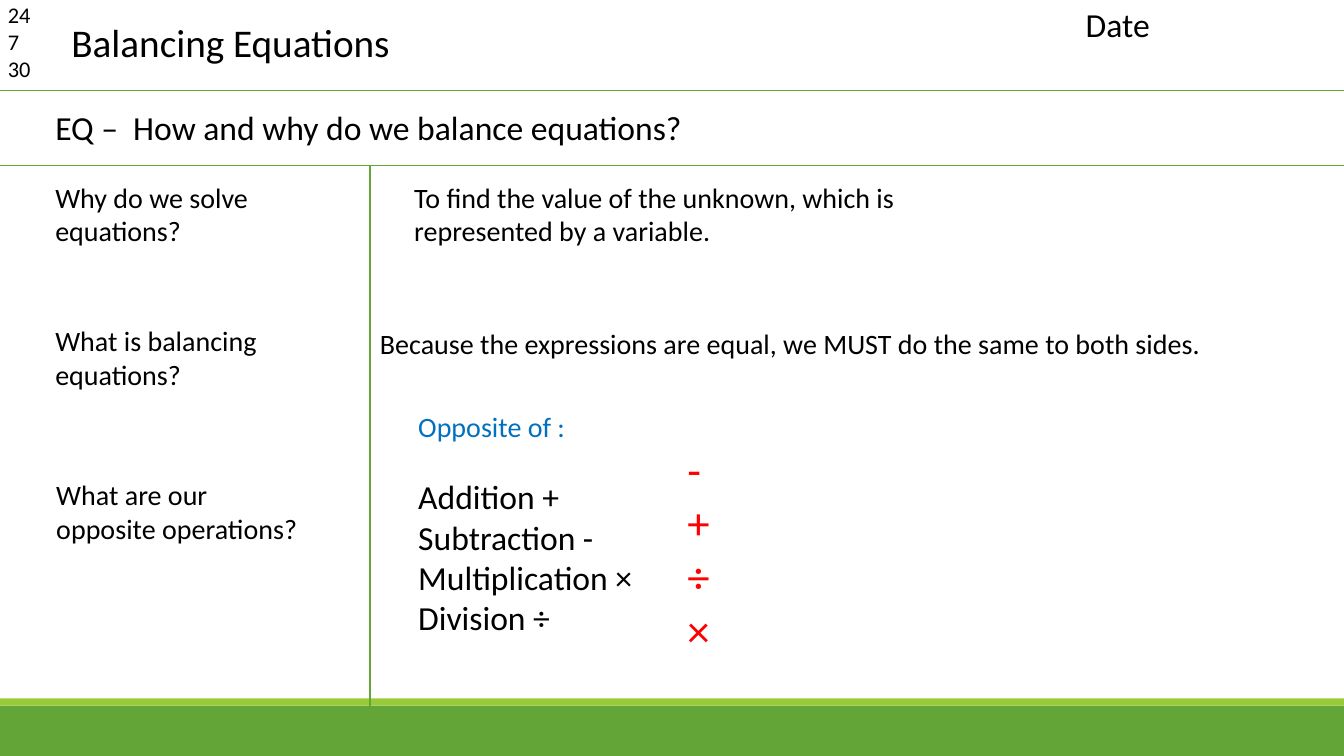
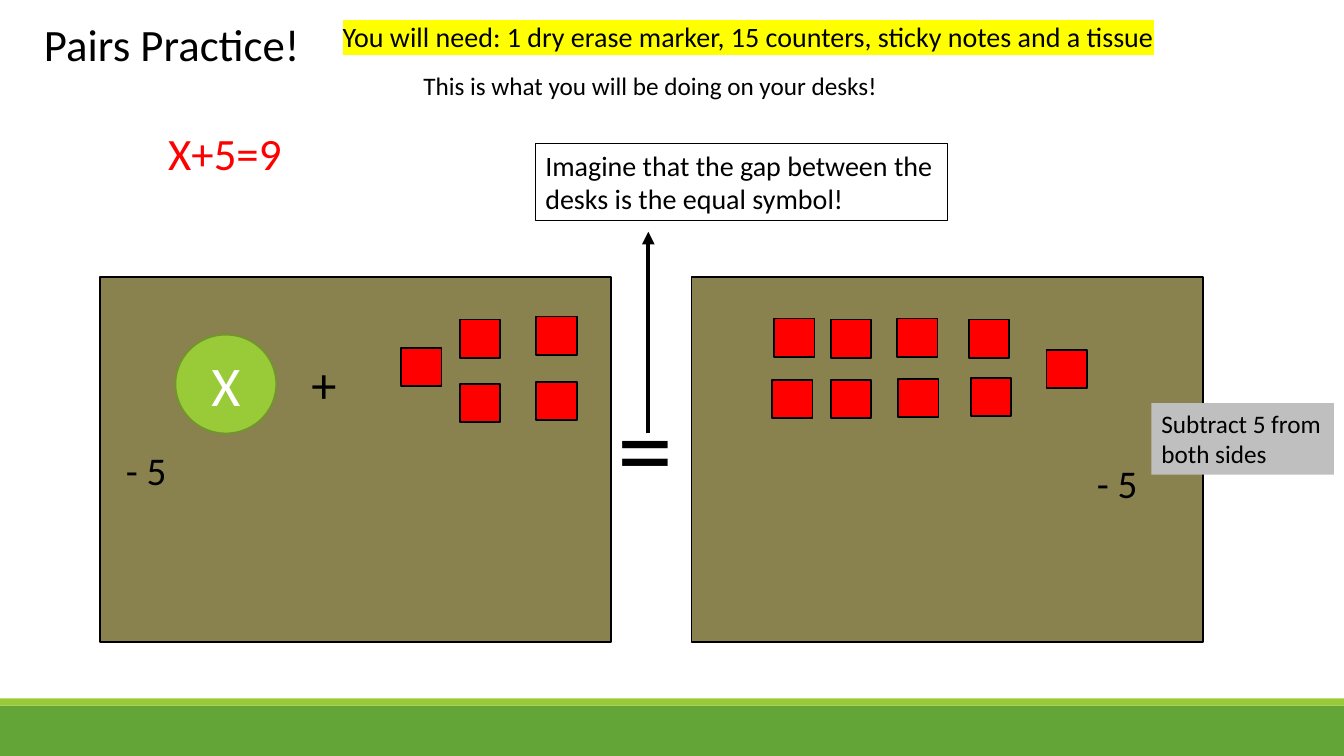
"""Build two lesson slides about balancing equations."""
from lxml.etree import SubElement
from pptx import Presentation
from pptx.dml.color import RGBColor
from pptx.enum.shapes import MSO_CONNECTOR, MSO_SHAPE
from pptx.enum.text import MSO_ANCHOR, PP_ALIGN
from pptx.oxml.ns import qn
from pptx.util import Pt

PX = 9144
WIDTH, HEIGHT = 1333, 750
FONT = "Calibri"
COLORS = {
    "black": "000000", "white": "FFFFFF", "red": "FF0000", "blue": "0070C0",
    "green": "63A537", "lime": "99CB38", "moss": "719629", "desk": "89814E",
    "gray": "BFBFBF", "yellow": "FFFF00",
}
COUNTER_W, COUNTER_H = 40, 38
LEFT_COUNTERS = [(398, 345), (456, 381), (456, 317), (532, 379), (532, 314)]
RIGHT_COUNTERS = [
    (768, 316), (824, 317), (766, 377), (824, 377), (1038, 347),
    (891, 376), (963, 375), (961, 317), (890, 316),
]


def px(*lengths):
    return [n * PX for n in lengths]


def rgb(name):
    return RGBColor.from_string(COLORS[name])


def style_shape(sp, fill=None, line=None, weight=1.25):
    if fill:
        sp.fill.solid()
        sp.fill.fore_color.rgb = rgb(fill)
    else:
        sp.fill.background()
    if line:
        sp.line.color.rgb = rgb(line)
        sp.line.width = Pt(weight)
    else:
        sp.line.fill.background()


def style_text(p, size, color="black", align=PP_ALIGN.LEFT):
    p.alignment = align
    p.font.name = FONT
    p.font.size = Pt(size)
    p.font.color.rgb = rgb(color)


def add_shape(s, box, fill, line=None, kind=MSO_SHAPE.RECTANGLE):
    sp = s.shapes.add_shape(kind, *px(*box))
    sp.shadow.inherit = False
    style_shape(sp, fill, line)
    return sp


def add_text(s, box, lines, size, color="black", align=PP_ALIGN.LEFT, wrap=True):
    sp = s.shapes.add_textbox(*px(*box))
    tf = sp.text_frame
    tf.word_wrap = wrap
    tf.text = lines
    for p in tf.paragraphs:
        style_text(p, size, color, align)
    return sp


def add_line(s, start, end, color="green", weight=1, arrow=False):
    cn = s.shapes.add_connector(MSO_CONNECTOR.STRAIGHT, *px(*start, *end))
    cn.line.color.rgb = rgb(color)
    cn.line.width = Pt(weight)
    if arrow:
        SubElement(cn.line._get_or_add_ln(), qn("a:tailEnd"), type="triangle")
    SubElement(cn._element.spPr, qn("a:effectLst"))
    return cn


def highlight(r, color):
    mark = SubElement(r._r.get_or_add_rPr(), qn("a:highlight"))
    SubElement(mark, qn("a:srgbClr"), val=COLORS[color])


def add_slide(prs):
    s = prs.slides.add_slide(prs.slide_layouts[6])
    add_shape(s, (0, 700, WIDTH, 50), "green")
    add_shape(s, (0, 693, WIDTH, 7), "lime")
    return s


def build_notes(prs):
    s = add_slide(prs)
    for y in (90, 164):
        add_line(s, (0, y), (WIDTH, y))
    add_line(s, (367, 164), (367, HEIGHT))

    add_text(s, (-2, -4, 63, 91), "24\n7\n30", 16)
    add_text(s, (61, 13, 340, 57), "Balancing Equations", 28, wrap=False)
    add_text(s, (1067, -1, 173, 50), "Date", 24)
    add_text(s, (45, 101, 943, 50), "EQ –  How and why do we balance equations?", 24)

    for box, words in (
        ((45, 174, 230, 77), "Why do we solve equations?"),
        ((401, 174, 632, 77),
         "To find the value of the unknown, which is represented by a variable."),
        ((45, 316, 243, 77), "What is balancing equations?"),
        ((367, 319, 851, 44),
         "Because the expressions are equal, we MUST do the same to both sides."),
        ((46, 469, 273, 77), "What are our opposite operations?"),
    ):
        add_text(s, box, words, 20)

    operations = add_text(
        s, (405, 401, 266, 269),
        "Opposite of :\nAddition +\nSubtraction -\nMultiplication ×\nDivision ÷", 24)
    heading, first = operations.text_frame.paragraphs[:2]
    style_text(heading, 20, "blue")
    first.space_before = Pt(24)
    add_text(s, (672, 433, 288, 226), "-\n+\n÷\n×", 32, "red")


def build_practice(prs):
    s = add_slide(prs)
    add_text(s, (20, 12, 301, 64), "Pairs Practice!", 32, align=PP_ALIGN.CENTER)
    supplies = add_text(
        s, (330, 14, 934, 44),
        "You will need: 1 dry erase marker, 15 counters, sticky notes and a tissue", 20)
    highlight(supplies.text_frame.paragraphs[0].runs[0], "yellow")

    for x in (99, 686):
        add_shape(s, (x, 275, 507, 362), "desk", "black")
    add_text(s, (410, 65, 484, 40), "This is what you will be doing on your desks!", 18)
    add_text(s, (603, 370, 220, 145), "=", 80)
    hint = add_text(s, (531, 142, 409, 77),
                    "Imagine that the gap between the desks is the equal symbol!", 20)
    style_shape(hint, line="black", weight=0.75)
    add_line(s, (643, 430), (643, 230), "black", 3, arrow=True)

    add_text(s, (157, 120, 356, 64), "X+5=9", 32, "red")
    unknown = add_shape(s, (174, 332, 100, 98), "lime", "moss", MSO_SHAPE.OVAL)
    tf = unknown.text_frame
    tf.text = "X"
    tf.vertical_anchor = MSO_ANCHOR.MIDDLE
    style_text(tf.paragraphs[0], 40, "white", PP_ALIGN.CENTER)
    add_text(s, (299, 345, 99, 71), "+", 36)
    for x, y in LEFT_COUNTERS + RIGHT_COUNTERS:
        add_shape(s, (x, y, COUNTER_W, COUNTER_H), "red", "black")

    step = add_text(s, (1142, 400, 181, 71), "Subtract 5 from both sides", 18)
    style_shape(step, "gray")
    for x, y in ((115, 438), (1078, 451)):
        add_text(s, (x, y, 164, 57), "- 5", 28)


def main():
    prs = Presentation()
    prs.slide_width, prs.slide_height = px(WIDTH, HEIGHT)
    build_notes(prs)
    build_practice(prs)
    prs.save("out.pptx")


if __name__ == "__main__":
    main()
